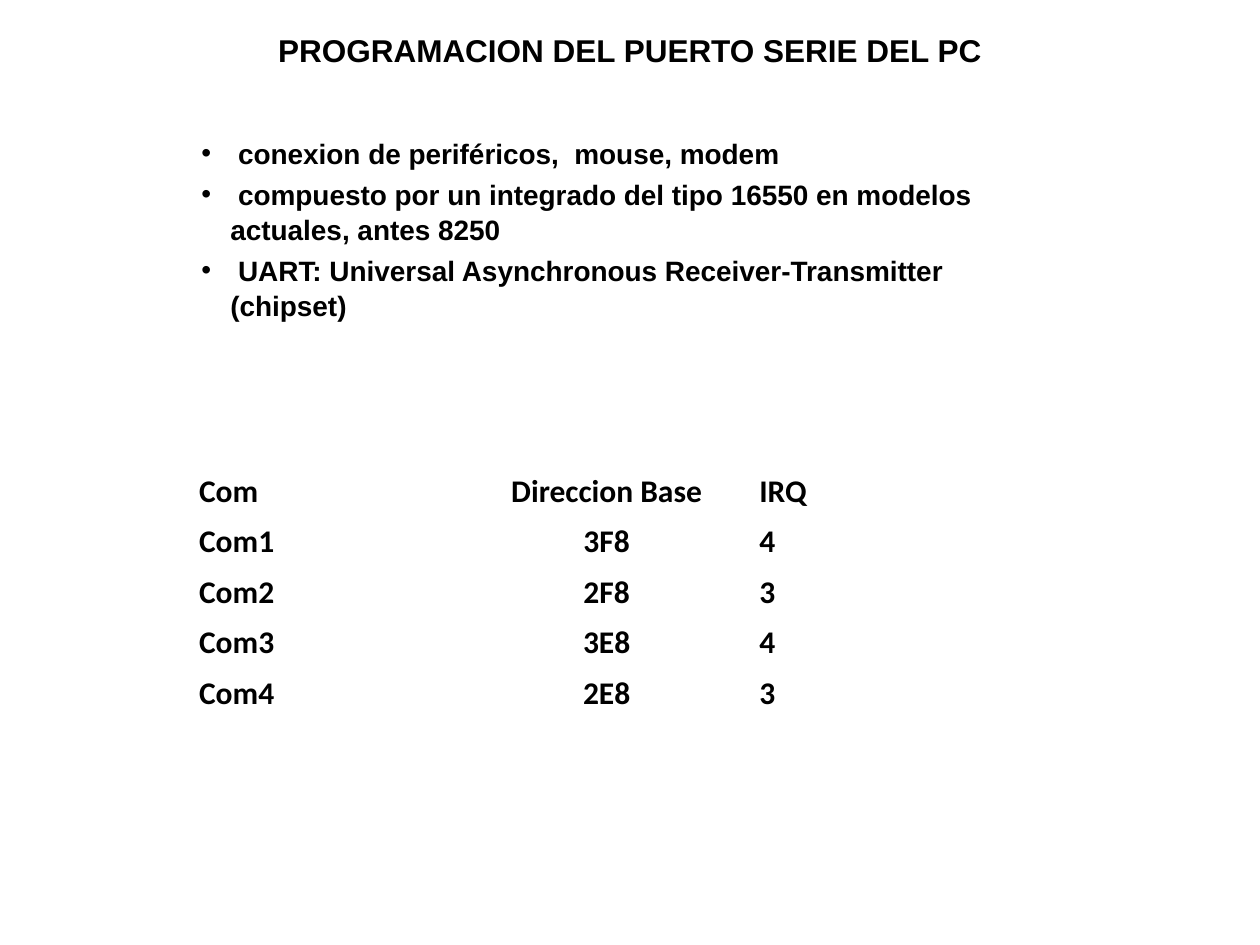
from typing import NamedTuple

from lxml.etree import SubElement
from pptx import Presentation
from pptx.dml.color import RGBColor
from pptx.enum.text import MSO_ANCHOR as Anchor, PP_ALIGN as Align
from pptx.oxml.ns import qn
from pptx.util import Inches, Pt

BLACK = "000000"


class Port(NamedTuple):
    com: str
    base_address: str
    irq: str


HEADING = "PROGRAMACION DEL PUERTO SERIE DEL PC"
FEATURES = [
    " conexion de periféricos,  mouse, modem",
    " compuesto por un integrado del tipo 16550 en modelos actuales, antes 8250",
    " UART: Universal Asynchronous Receiver-Transmitter (chipset)",
]
PORTS = [
    Port("Com", "Direccion Base", "IRQ"),
    Port("Com1", "3F8", "4"),
    Port("Com2", "2F8", "3"),
    Port("Com3", "3E8", "4"),
    Port("Com4", "2E8", "3"),
]
PORT_ALIGNMENTS = Port(Align.LEFT, Align.CENTER, Align.LEFT)


def color(value: str) -> RGBColor:
    return RGBColor.from_string(value)


def set_font(paragraph, name: str, size: int) -> None:
    font = paragraph.font
    font.name = name
    font.size = Pt(size)
    font.bold = True
    font.color.rgb = color(BLACK)


def add_bullet(paragraph) -> None:
    properties = paragraph._p.get_or_add_pPr()
    properties.set("marL", str(Inches(0.23)))
    properties.set("indent", str(-Inches(0.23)))
    bullet_color = SubElement(properties, qn("a:buClr"))
    SubElement(bullet_color, qn("a:srgbClr"), val=BLACK)
    SubElement(properties, qn("a:buFont"), typeface="Arial")
    SubElement(properties, qn("a:buChar"), char="•")


def add_heading(slide) -> None:
    heading = slide.shapes.add_textbox(
        Inches(0.75), Inches(0.31), Inches(8.5), Inches(0.47)
    ).text_frame
    heading.word_wrap = True
    heading.vertical_anchor = Anchor.MIDDLE
    heading.margin_top = 0
    heading.margin_bottom = Inches(0.29)
    line = heading.paragraphs[0]
    line.text = HEADING
    line.alignment = Align.CENTER
    set_font(line, "Arial", 18)


def add_features(slide) -> None:
    features = slide.shapes.add_textbox(
        Inches(1.5), Inches(1.02), Inches(7), Inches(5.15)
    ).text_frame
    features.word_wrap = True
    for index, feature in enumerate(FEATURES):
        line = features.add_paragraph() if index else features.paragraphs[0]
        line.text = feature
        line.line_spacing = 1.05
        if index:
            line.space_before = Pt(3.2)
        add_bullet(line)
        set_font(line, "Arial", 16)


def add_ports(slide) -> None:
    ports = slide.shapes.add_table(
        len(PORTS), len(Port._fields),
        Inches(1.48), Inches(3.7), Inches(6.67), Inches(2),
    ).table
    ports.first_row = False
    ports.horz_banding = False
    for row, port in enumerate(PORTS):
        for column, (value, alignment) in enumerate(zip(port, PORT_ALIGNMENTS)):
            cell = ports.cell(row, column)
            cell.fill.background()
            cell.vertical_anchor = Anchor.MIDDLE
            entry = cell.text_frame.paragraphs[0]
            entry.text = value
            entry.alignment = alignment
            set_font(entry, "Calibri", 18)


def main() -> None:
    presentation = Presentation()
    presentation.slide_width = Inches(10)
    presentation.slide_height = Inches(7.5)
    slide = presentation.slides.add_slide(presentation.slide_layouts[6])
    add_heading(slide)
    add_features(slide)
    add_ports(slide)
    presentation.save("out.pptx")


if __name__ == "__main__":
    main()
